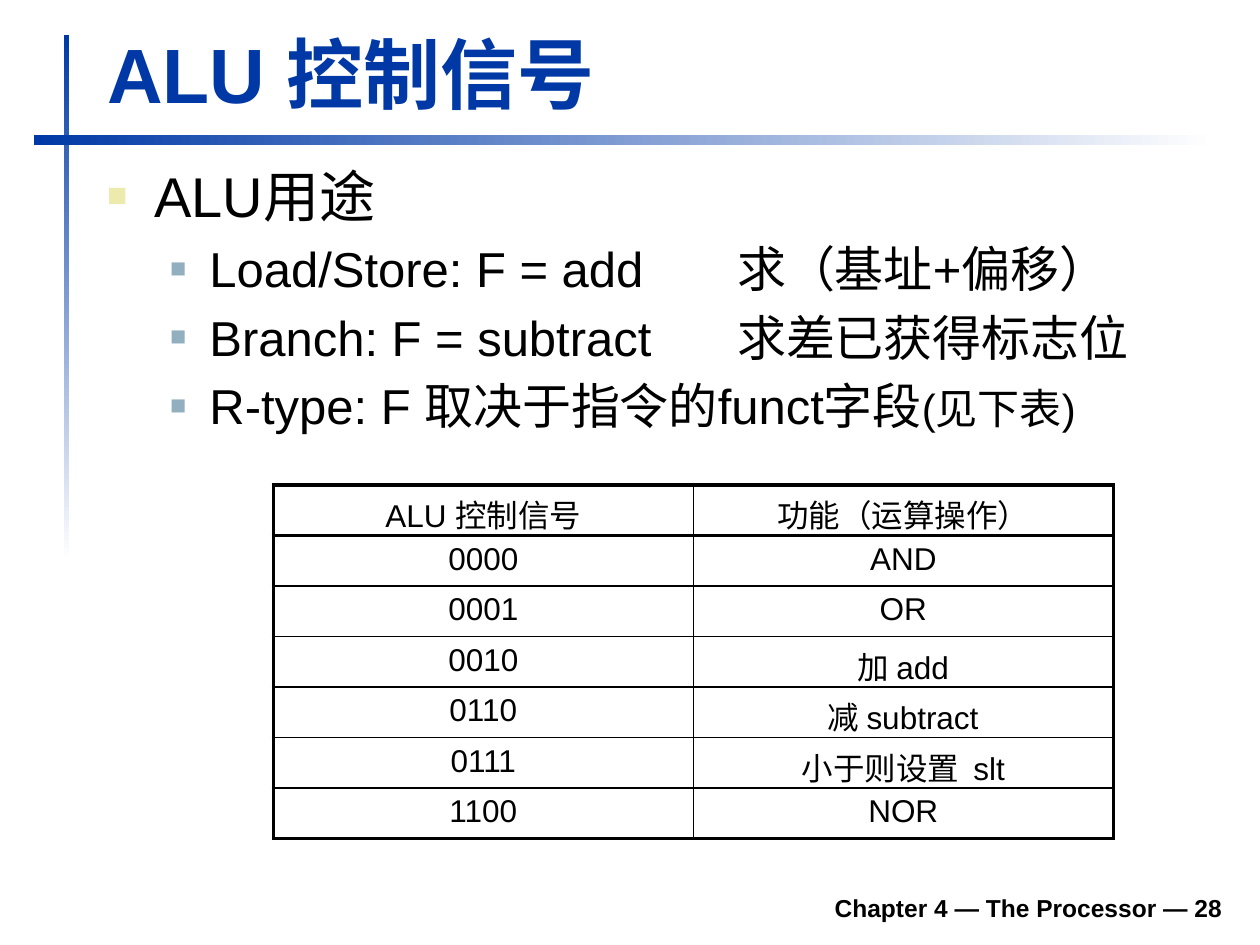
"""Build the slide on ALU control signals."""
from dataclasses import dataclass

from lxml import etree
from pptx import Presentation
from pptx.dml.color import RGBColor
from pptx.enum.shapes import MSO_SHAPE
from pptx.enum.text import MSO_ANCHOR, MSO_AUTO_SIZE, PP_ALIGN
from pptx.oxml.ns import qn
from pptx.util import Pt

RECTANGLE = MSO_SHAPE.RECTANGLE
BOTTOM = MSO_ANCHOR.BOTTOM
NO_FIT, GROW = MSO_AUTO_SIZE.NONE, MSO_AUTO_SIZE.SHAPE_TO_FIT_TEXT
LEFT, CENTER, RIGHT = PP_ALIGN.LEFT, PP_ALIGN.CENTER, PP_ALIGN.RIGHT
FONT, BLACK, BLUE, WHITE = "Arial", "000000", "0039A6", "FFFFFF"
OUTER, HEADER, INNER = 2.25, 1.5, 1


@dataclass
class Box:
    left: float
    top: float
    width: float
    height: float

    def lengths(self) -> tuple:
        return Pt(self.left), Pt(self.top), Pt(self.width), Pt(self.height)


@dataclass
class Bar:
    box: Box
    angle: int


@dataclass
class Level:
    size: int
    margin: float
    hanging: float
    bullet_color: str
    bullet_percent: int


@dataclass
class Item:
    level: int
    text: str
    small_text: str = ""


BARS = [
    Bar(Box(36.7, 20.2, 2.9, 300.2), 270),
    Bar(Box(19.4, 77, 674.6, 5.8), 0),
]
LEVELS = [
    Level(32, 27, 27, "ECEAAC", 60),
    Level(28, 58.5, 22.5, "91AFBF", 55),
]
ITEMS = [
    Item(0, "ALU用途"),
    Item(1, "Load/Store: F = add\t求（基址+偏移）"),
    Item(1, "Branch: F = subtract\t求差已获得标志位"),
    Item(1, "R-type: F 取决于指令的funct字段", "(见下表)"),
]
ROWS = [
    ("ALU 控制信号", "功能（运算操作）"),
    ("0000", "AND"),
    ("0001", "OR"),
    ("0010", "加 add"),
    ("0110", "减 subtract"),
    ("0111", "小于则设置  slt"),
    ("1100", "NOR"),
]


def rgb(color: str) -> RGBColor:
    """Turn a hex string into a colour."""
    return RGBColor.from_string(color)


def format_run(run, size: float, color: str = BLACK, bold: bool = False) -> None:
    """Set the font of a run."""
    run.font.name = FONT
    run.font.size = Pt(size)
    run.font.bold = bold
    run.font.color.rgb = rgb(color)


def place(shape, box: Box) -> None:
    """Move and size a shape."""
    shape.left, shape.top, shape.width, shape.height = box.lengths()


def add_bar(slide, bar: Bar) -> None:
    """Draw a bar that fades from blue to white."""
    shape = slide.shapes.add_shape(RECTANGLE, *bar.box.lengths())
    shape.shadow.inherit = False
    shape.line.fill.background()
    shape.fill.gradient()
    shape.fill.gradient_angle = bar.angle
    for position, (stop, color) in enumerate(zip(shape.fill.gradient_stops, (BLUE, WHITE))):
        stop.position = position
        stop.color.rgb = rgb(color)


def fill_line(shape, text: str, size: float, color: str, alignment) -> None:
    """Write one bold line at the bottom of a shape."""
    frame = shape.text_frame
    frame.text = text
    frame.word_wrap = True
    frame.vertical_anchor = BOTTOM
    paragraph = frame.paragraphs[0]
    paragraph.alignment = alignment
    format_run(paragraph.runs[0], size, color, True)


def set_bullet(paragraph, level: Level) -> None:
    """Give a paragraph its indent, square bullet and tab stop."""
    properties = paragraph._p.get_or_add_pPr()
    properties.set("marL", str(Pt(level.margin)))
    properties.set("indent", str(-Pt(level.hanging)))
    color = etree.SubElement(properties, qn("a:buClr"))
    etree.SubElement(color, qn("a:srgbClr"), val=level.bullet_color)
    etree.SubElement(properties, qn("a:buSzPct"), val=str(level.bullet_percent * 1000))
    etree.SubElement(properties, qn("a:buFont"), typeface=FONT)
    etree.SubElement(properties, qn("a:buChar"), char="■")
    tabs = etree.SubElement(properties, qn("a:tabLst"))
    etree.SubElement(tabs, qn("a:tab"), pos=str(Pt(360)), algn="l")


def fill_body(shape, items: list[Item]) -> None:
    """Write the bulleted list."""
    frame = shape.text_frame
    frame.auto_size = NO_FIT
    for index, item in enumerate(items):
        paragraph = frame.add_paragraph() if index else frame.paragraphs[0]
        level = LEVELS[item.level]
        paragraph.text = item.text
        paragraph.level = item.level
        set_bullet(paragraph, level)
        paragraph.space_before = Pt(level.size * 0.2 if index else 0)
        format_run(paragraph.runs[0], level.size)
        if item.small_text:
            run = paragraph.add_run()
            run.text = item.small_text
            format_run(run, 24)


def set_borders(cell, widths: dict[str, float]) -> None:
    """Draw the four borders of a cell."""
    properties = cell._tc.get_or_add_tcPr()
    for side, width in widths.items():
        line = etree.SubElement(properties, qn(f"a:ln{side}"), w=str(Pt(width)))
        fill = etree.SubElement(line, qn("a:solidFill"))
        etree.SubElement(fill, qn("a:srgbClr"), val=BLACK)


def add_signal_table(slide, box: Box, rows: list[tuple[str, str]]) -> None:
    """Add the table of control signals and functions."""
    table = slide.shapes.add_table(len(rows), len(rows[0]), *box.lengths()).table
    table.first_row = table.horz_banding = False
    horizontal = [OUTER, HEADER] + [INNER] * (len(rows) - 2) + [OUTER]
    vertical = [OUTER, INNER, OUTER]
    for row, texts in enumerate(rows):
        for column, text in enumerate(texts):
            cell = table.cell(row, column)
            cell.text = text
            paragraph = cell.text_frame.paragraphs[0]
            paragraph.alignment = CENTER
            format_run(paragraph.runs[0], 18)
            set_borders(cell, {"L": vertical[column], "R": vertical[column + 1],
                               "T": horizontal[row], "B": horizontal[row + 1]})
            cell.fill.background()


def main() -> None:
    """Build and save the slide."""
    presentation = Presentation()
    presentation.slide_width, presentation.slide_height = Pt(720), Pt(540)
    slide = presentation.slides.add_slide(presentation.slide_layouts[1])
    for bar in BARS:
        add_bar(slide, bar)
    footer = slide.shapes.add_textbox(*Box(133.2, 502.6, 572.4, 28).lengths())
    fill_line(footer, "Chapter 4 — The Processor — 28", 14, BLACK, RIGHT)
    title, body = slide.shapes.title, slide.placeholders[1]
    place(title, Box(54, 11.5, 650.2, 59.8))
    fill_line(title, "ALU 控制信号", 44, BLUE, LEFT)
    title.text_frame.auto_size = GROW
    place(body, Box(54, 88.6, 651.6, 187.2))
    fill_body(body, ITEMS)
    add_signal_table(slide, Box(156.2, 277.2, 480, 201.6), ROWS)
    presentation.save("out.pptx")


if __name__ == "__main__":
    main()
